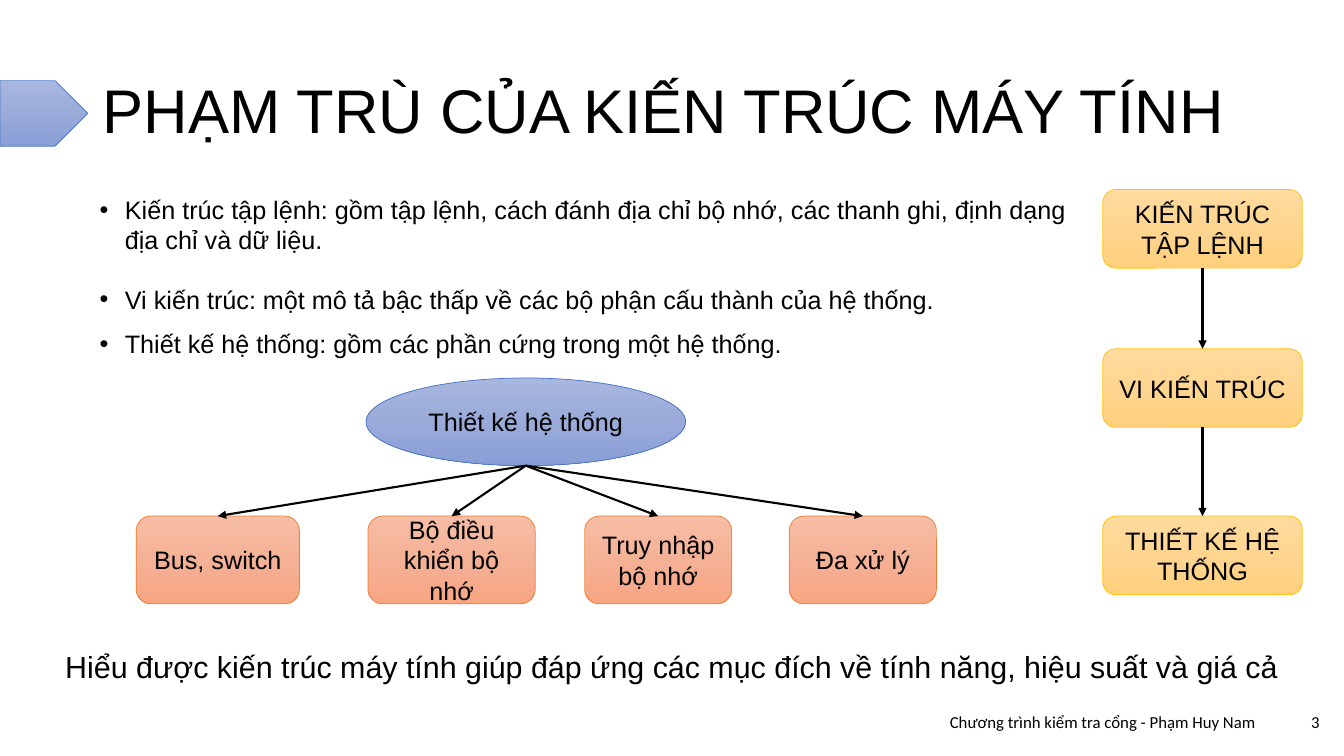
"""Build the slide on the scope of computer architecture."""
from copy import deepcopy
from dataclasses import dataclass, field
from itertools import pairwise
from typing import Any

from lxml.etree import SubElement
from pptx import Presentation
from pptx.dml.color import RGBColor
from pptx.enum.shapes import MSO_CONNECTOR, MSO_SHAPE
from pptx.enum.text import MSO_ANCHOR, PP_ALIGN
from pptx.oxml.ns import qn
from pptx.shapes.autoshape import Shape
from pptx.slide import Slide
from pptx.text.text import TextFrame
from pptx.util import Emu, Inches, Pt

SLIDE_WIDTH = Inches(13.333)
SLIDE_HEIGHT = Inches(7.5)
TOP, BOTTOM = 0, 2


@dataclass(frozen=True)
class Palette:
    """Gradient stops and outline of one family of shapes."""
    stops: tuple[str, str, str]
    outline: str


@dataclass(frozen=True)
class Theme:
    """Colours, fonts and type sizes of the slide."""
    blue: Palette = Palette(("A8B7DF", "9AABD9", "889ED7"), "4472C4")
    gold: Palette = Palette(("FFDB9E", "FFD590", "FFD07C"), "FFC000")
    orange: Palette = Palette(("F7BDA5", "F5B196", "F8A582"), "ED7D31")
    ink: str = "000000"
    font: str = "Arial"
    footer_font: str = "Calibri"
    title_size: float = 44
    body_size: float = 18
    summary_size: float = 21.7
    footer_size: float = 12
    outline_width: float = 0.5
    arrow_width: float = 1.5


THEME = Theme()


@dataclass(frozen=True)
class Area:
    """A rectangle in percent of the slide's width and height."""
    left: float
    top: float
    width: float
    height: float

    def lengths(self) -> tuple[Emu, Emu, Emu, Emu]:
        """Return left, top, width and height as slide lengths."""
        return (across(self.left), down(self.top), across(self.width), down(self.height))


@dataclass(frozen=True)
class Line:
    """One paragraph with its format values."""
    text: str
    format: dict[str, Any] = field(default_factory=dict)
    bullet: bool = False


@dataclass(frozen=True)
class TextBlock:
    """A text box with its lines and type."""
    area: Area
    lines: tuple[Line, ...]
    size: float
    font: str = THEME.font
    anchor: MSO_ANCHOR = MSO_ANCHOR.TOP


@dataclass(frozen=True)
class Node:
    """A filled shape with an optional label."""
    area: Area
    palette: Palette
    label: str = ""
    kind: MSO_SHAPE = MSO_SHAPE.ROUNDED_RECTANGLE


CENTRED = {"alignment": PP_ALIGN.CENTER}
SPACED = {"space_before": Pt(10)}

TEXT_BLOCKS = (
    TextBlock(Area(6.9, 5.33, 86.25, 19.33),
              (Line("PHẠM TRÙ CỦA KIẾN TRÚC MÁY TÍNH", {"line_spacing": 0.9}),),
              THEME.title_size, anchor=MSO_ANCHOR.MIDDLE),
    TextBlock(Area(6.68, 25.07, 74.32, 24.93), (
        Line("Kiến trúc tập lệnh: gồm tập lệnh, cách đánh địa chỉ bộ nhớ, các thanh ghi, "
             "định dạng địa chỉ và dữ liệu.", SPACED, True),
        Line("Vi kiến trúc: một mô tả bậc thấp về các bộ phận cấu thành của hệ thống.",
             SPACED | {"line_spacing": 1.5}, True),
        Line("Thiết kế hệ thống: gồm các phần cứng trong một hệ thống.", SPACED, True),
    ), THEME.body_size),
    TextBlock(Area(65.18, 92.8, 33.75, 5.33),
              (Line("Chương trình kiểm tra cổng - Phạm Huy Nam", CENTRED),),
              THEME.footer_size, THEME.footer_font, MSO_ANCHOR.MIDDLE),
    TextBlock(Area(76.43, 92.8, 22.5, 5.33), (Line("3", {"alignment": PP_ALIGN.RIGHT}),),
              THEME.footer_size, THEME.footer_font, MSO_ANCHOR.MIDDLE),
    TextBlock(Area(0, 83.6, 100, 10.93),
              (Line("Hiểu được kiến trúc máy tính giúp đáp ứng các mục đích về tính năng, "
                    "hiệu suất và giá cả", CENTRED | SPACED | {"line_spacing": 1.3}),),
              THEME.summary_size),
)
TITLE_MARKER = Node(Area(0, 10.67, 6.53, 8.67), THEME.blue, kind=MSO_SHAPE.PENTAGON)
LEVELS = tuple(
    Node(Area(82.05, top, 14.85, 10.4), THEME.gold, label)
    for top, label in ((25.07, "KIẾN TRÚC TẬP LỆNH"), (46.13, "VI KIẾN TRÚC"),
                       (68.27, "THIẾT KẾ HỆ THỐNG"))
)
SYSTEM = Node(Area(27.23, 50, 23.78, 11.6), THEME.blue, "Thiết kế hệ thống", MSO_SHAPE.OVAL)
COMPONENTS = tuple(
    Node(Area(left, 68.27, width, 11.6), THEME.orange, label)
    for left, width, label in ((10.13, 12.15, "Bus, switch"),
                               (27.38, 12.45, "Bộ điều khiển bộ nhớ"),
                               (43.5, 10.95, "Truy nhập bộ nhớ"),
                               (58.73, 10.95, "Đa xử lý"))
)


def across(percent: float) -> Emu:
    """Turn a share of the slide's width into a length."""
    return Emu(round(SLIDE_WIDTH * percent / 100))


def down(percent: float) -> Emu:
    """Turn a share of the slide's height into a length."""
    return Emu(round(SLIDE_HEIGHT * percent / 100))


def apply_format(target: Any, values: dict[str, Any]) -> None:
    """Set every format value on the target."""
    for name, value in values.items():
        setattr(target, name, value)


def write_lines(frame: TextFrame, lines: tuple[Line, ...], size: float, font: str,
                anchor: MSO_ANCHOR) -> None:
    """Fill a text frame with formatted paragraphs."""
    apply_format(frame, {"word_wrap": True, "vertical_anchor": anchor})
    for index, line in enumerate(lines):
        paragraph = frame.add_paragraph() if index else frame.paragraphs[0]
        apply_format(paragraph, line.format)
        run = paragraph.add_run()
        run.text = line.text
        apply_format(run.font, {"name": font, "size": Pt(size)})
        run.font.color.rgb = RGBColor.from_string(THEME.ink)
        if line.bullet:
            properties = paragraph._p.get_or_add_pPr()
            properties.set("marL", str(Inches(0.25)))
            properties.set("indent", str(-Inches(0.25)))
            SubElement(properties, qn("a:buFont")).set("typeface", font)
            SubElement(properties, qn("a:buChar")).set("char", "•")


def draw_text(slide: Slide, block: TextBlock) -> None:
    """Draw one text box."""
    box = slide.shapes.add_textbox(*block.area.lengths())
    write_lines(box.text_frame, block.lines, block.size, block.font, block.anchor)


def draw_node(slide: Slide, node: Node) -> Shape:
    """Draw one gradient shape with its label."""
    shape = slide.shapes.add_shape(node.kind, *node.area.lengths())
    shape.shadow.inherit = False
    shape.fill.gradient()
    shape.fill.gradient_angle = 270
    stop_list = shape._element.spPr.find(".//" + qn("a:gsLst"))
    stop_list.append(deepcopy(stop_list[-1]))
    for stop, position, color in zip(shape.fill.gradient_stops, (0, 0.5, 1), node.palette.stops):
        stop.position = position
        stop.color.rgb = RGBColor.from_string(color)
    shape.line.color.rgb = RGBColor.from_string(node.palette.outline)
    shape.line.width = Pt(THEME.outline_width)
    if node.label:
        write_lines(shape.text_frame, (Line(node.label, CENTRED),), THEME.body_size,
                    THEME.font, MSO_ANCHOR.MIDDLE)
    return shape


def draw_arrow(slide: Slide, source: Shape, target: Shape, join_source: bool) -> None:
    """Draw an arrow from the bottom of one shape to the top of another."""
    connector = slide.shapes.add_connector(
        MSO_CONNECTOR.STRAIGHT, source.left + source.width // 2, source.top + source.height,
        target.left + target.width // 2, target.top)
    if join_source:
        connector.begin_connect(source, BOTTOM)
    connector.end_connect(target, TOP)
    connector.line.color.rgb = RGBColor.from_string(THEME.ink)
    connector.line.width = Pt(THEME.arrow_width)
    properties = connector._element.spPr
    SubElement(properties.find(qn("a:ln")), qn("a:tailEnd")).set("type", "triangle")
    SubElement(properties, qn("a:effectLst"))


def main() -> None:
    """Assemble the slide and save it."""
    presentation = Presentation()
    apply_format(presentation, {"slide_width": SLIDE_WIDTH, "slide_height": SLIDE_HEIGHT})
    slide = presentation.slides.add_slide(presentation.slide_layouts[6])
    for block in TEXT_BLOCKS:
        draw_text(slide, block)
    draw_node(slide, TITLE_MARKER)
    levels = [draw_node(slide, level) for level in LEVELS]
    for upper, lower in pairwise(levels):
        draw_arrow(slide, upper, lower, join_source=True)
    components = [draw_node(slide, component) for component in COMPONENTS]
    system = draw_node(slide, SYSTEM)
    for component in components:
        draw_arrow(slide, system, component, join_source=False)
    presentation.save("out.pptx")


if __name__ == "__main__":
    main()
